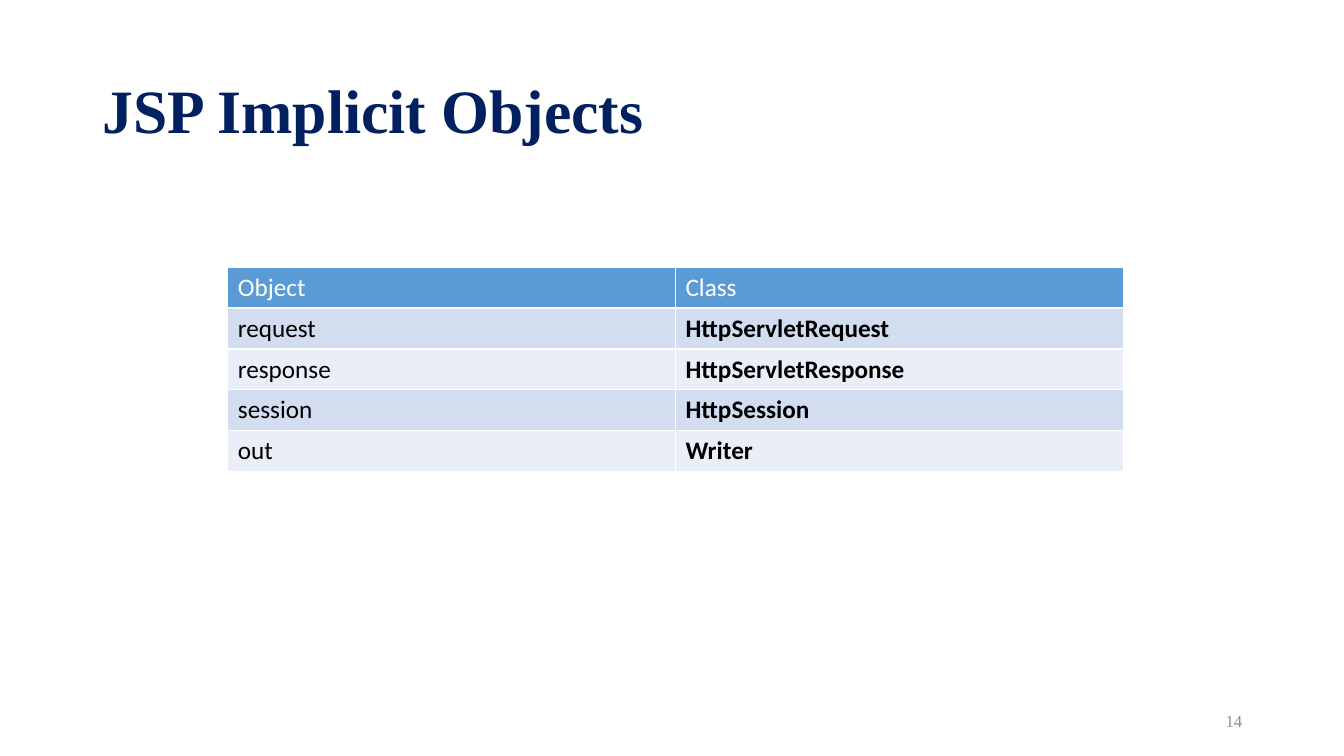
from dataclasses import dataclass

from lxml.etree import SubElement
from pptx import Presentation
from pptx.dml.color import RGBColor
from pptx.enum.text import MSO_ANCHOR, MSO_AUTO_SIZE, PP_ALIGN
from pptx.oxml.ns import qn
from pptx.util import Pt

TITLE = "JSP Implicit Objects"
PAGE_NUMBER = "14"
IMPLICIT_OBJECTS = [
    ("Object", "Class"),
    ("request", "HttpServletRequest"),
    ("response", "HttpServletResponse"),
    ("session", "HttpSession"),
    ("out", "Writer"),
]

PX = 9144  # 100 px to the inch
SLIDE_SIZE = (1333, 750)
TITLE_BOX = (92, 40, 1150, 145)
NUMBER_BOX = (942, 695, 300, 40)
TABLE_LEFT, TABLE_TOP = 226, 265
COLUMN_WIDTH = 444
TABLE_HEIGHT = 203


@dataclass(frozen=True)
class Theme:
    navy: str = "002060"
    grey: str = "8C8C8C"
    white: str = "FFFFFF"
    black: str = "000000"
    header: str = "5B9BD5"
    bands: tuple = ("D2DEEF", "EAEFF7")
    serif: str = "Times New Roman"
    sans: str = "Calibri"
    title_size: int = 44
    table_size: int = 18
    number_size: int = 12
    border_width: int = 1


THEME = Theme()


def scaled(box):
    return [length * PX for length in box]


def write(frame, text, *, size, font, color, bold=False,
          align=PP_ALIGN.LEFT, spacing=1.0):
    para = frame.paragraphs[0]
    para.alignment = align
    para.line_spacing = spacing
    span = para.add_run()
    span.text = text
    span.font.size = Pt(size)
    span.font.name = font
    span.font.bold = bold
    span.font.color.rgb = RGBColor.from_string(color)


def set_borders(cell):
    """Draw all four cell edges; call before filling, as the schema puts lines first."""
    properties = cell._tc.get_or_add_tcPr()
    for edge in ("a:lnL", "a:lnR", "a:lnT", "a:lnB"):
        line = SubElement(properties, qn(edge), w=str(Pt(THEME.border_width)))
        fill = SubElement(line, qn("a:solidFill"))
        SubElement(fill, qn("a:srgbClr"), val=THEME.white)


def add_title(page):
    title = page.shapes.title
    title.left, title.top, title.width, title.height = scaled(TITLE_BOX)
    frame = title.text_frame
    frame.auto_size = MSO_AUTO_SIZE.NONE
    frame.vertical_anchor = MSO_ANCHOR.MIDDLE
    write(frame, TITLE, size=THEME.title_size, font=THEME.serif,
          color=THEME.navy, bold=True, spacing=0.9)


def add_object_table(page):
    row_count, column_count = len(IMPLICIT_OBJECTS), len(IMPLICIT_OBJECTS[0])
    bounds = (TABLE_LEFT, TABLE_TOP, COLUMN_WIDTH * column_count, TABLE_HEIGHT)
    table = page.shapes.add_table(row_count, column_count, *scaled(bounds)).table
    for row, texts in enumerate(IMPLICIT_OBJECTS):
        is_header = row == 0
        color = THEME.white if is_header else THEME.black
        background = THEME.header if is_header else THEME.bands[(row - 1) % 2]
        for column, text in enumerate(texts):
            cell = table.cell(row, column)
            set_borders(cell)
            cell.fill.solid()
            cell.fill.fore_color.rgb = RGBColor.from_string(background)
            write(cell.text_frame, text, size=THEME.table_size, font=THEME.sans,
                  color=color, bold=column == 1 and not is_header)


def add_page_number(page):
    frame = page.shapes.add_textbox(*scaled(NUMBER_BOX)).text_frame
    frame.word_wrap = True
    frame.vertical_anchor = MSO_ANCHOR.MIDDLE
    write(frame, PAGE_NUMBER, size=THEME.number_size, font=THEME.serif,
          color=THEME.grey, align=PP_ALIGN.RIGHT)


def main():
    deck = Presentation()
    deck.slide_width, deck.slide_height = scaled(SLIDE_SIZE)
    page = deck.slides.add_slide(deck.slide_layouts.get_by_name("Title Only"))
    add_title(page)
    add_object_table(page)
    add_page_number(page)
    deck.save("out.pptx")


if __name__ == "__main__":
    main()
